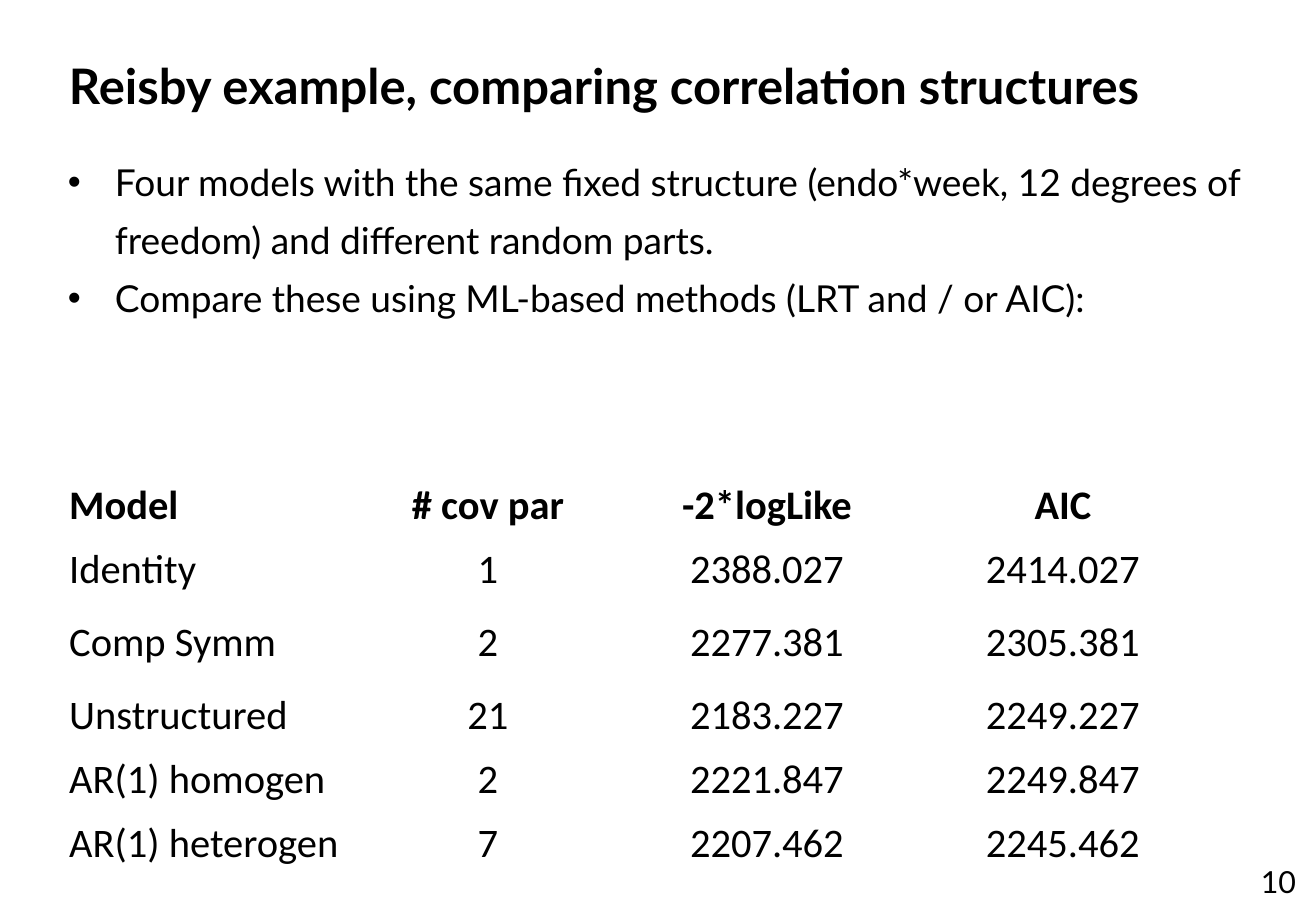
from pptx import Presentation
from pptx.dml.color import RGBColor as Rgb
from pptx.enum.text import MSO_ANCHOR as Anchor, PP_ALIGN as Align
from pptx.oxml import parse_xml
from pptx.oxml.ns import nsdecls
from pptx.util import Pt

TITLE = "Reisby example, comparing correlation structures"
POINTS = [
    "Four models with the same fixed structure (endo*week, 12 degrees of "
    "freedom) and different random parts.",
    "Compare these using ML-based methods (LRT and / or AIC):",
]
MODELS = [
    ("Model", "# cov par", "-2*logLike", "AIC"),
    ("Identity", "1", "2388.027", "2414.027"),
    ("Comp Symm", "2", "2277.381", "2305.381"),
    ("Unstructured", "21", "2183.227", "2249.227"),
    ("AR(1) homogen", "2", "2221.847", "2249.847"),
    ("AR(1) heterogen", "7", "2207.462", "2245.462"),
]
PAGE = "10"

PX = 914400 / 121.5
SLIDE = (1316, 911)
TITLE_BOX = (57, 50, 1203, 81)
POINTS_BOX = (56, 140, 1203, 316)
PAGE_BOX = (1025, 857, 283, 49)
TABLE_AT = (57, 475)
COLUMN_WIDTHS = (300, 262, 296, 296)
ROW_HEIGHTS = (64, 73, 73, 64, 64, 64)
BULLET_INDENT = 47

THEME = {
    "ink": Rgb(0, 0, 0),
    "title": {"name": "Lato", "size": Pt(29), "bold": True},
    "points": {"name": "Lato", "size": Pt(22), "bold": False},
    "page": {"name": "Lato", "size": Pt(18), "bold": False},
    "header": {"name": "Calibri", "size": Pt(24), "bold": True},
    "value": {"name": "Calibri", "size": Pt(24), "bold": False},
}


def emu(*pixels):
    """Turn pixel lengths into EMU."""
    return [round(length * PX) for length in pixels]


def write(paragraph, words, role, **layout):
    """Put words in a paragraph with the theme's font and the given layout."""
    run = paragraph.add_run()
    run.text = words
    for target, values in ((run.font, THEME[role]), (paragraph, layout)):
        for key, value in values.items():
            setattr(target, key, value)
    run.font.color.rgb = THEME["ink"]


def add_box(slide, box, anchor=Anchor.TOP):
    """Add a wrapping text box and return its text frame."""
    frame = slide.shapes.add_textbox(*emu(*box)).text_frame
    frame.word_wrap = True
    frame.vertical_anchor = anchor
    return frame


def add_bullet(paragraph):
    """Give a paragraph a hanging bullet."""
    indent, = emu(BULLET_INDENT)
    properties = paragraph._p.get_or_add_pPr()
    properties.set("marL", str(indent))
    properties.set("indent", str(-indent))
    for tag in ('buFont typeface="Arial"', 'buChar char="•"'):
        properties.append(parse_xml(f"<a:{tag} {nsdecls('a')}/>"))


def add_points(slide):
    """Add the bulleted points."""
    frame = add_box(slide, POINTS_BOX)
    for index, point in enumerate(POINTS):
        paragraph = frame.add_paragraph() if index else frame.paragraphs[0]
        write(paragraph, point, "points", line_spacing=1.3)
        add_bullet(paragraph)


def add_models(slide):
    """Add the unfilled table that compares the models."""
    extent = (sum(COLUMN_WIDTHS), sum(ROW_HEIGHTS))
    table = slide.shapes.add_table(
        len(MODELS), len(MODELS[0]), *emu(*TABLE_AT, *extent)).table
    table.first_row = table.horz_banding = False
    for column, width in zip(table.columns, emu(*COLUMN_WIDTHS)):
        column.width = width
    for row, height in zip(table.rows, emu(*ROW_HEIGHTS)):
        row.height = height
    for r, model in enumerate(MODELS):
        for c, entry in enumerate(model):
            cell = table.cell(r, c)
            cell.fill.background()
            write(cell.text_frame.paragraphs[0], entry,
                  "value" if r else "header",
                  alignment=Align.CENTER if c else Align.LEFT,
                  space_before=Pt(2.4))


deck = Presentation()
deck.slide_width, deck.slide_height = emu(*SLIDE)
slide = deck.slides.add_slide(deck.slide_layouts[6])
write(add_box(slide, TITLE_BOX).paragraphs[0], TITLE, "title")
add_models(slide)
add_points(slide)
write(add_box(slide, PAGE_BOX, Anchor.MIDDLE).paragraphs[0], PAGE, "page",
      alignment=Align.RIGHT)
deck.save("out.pptx")
